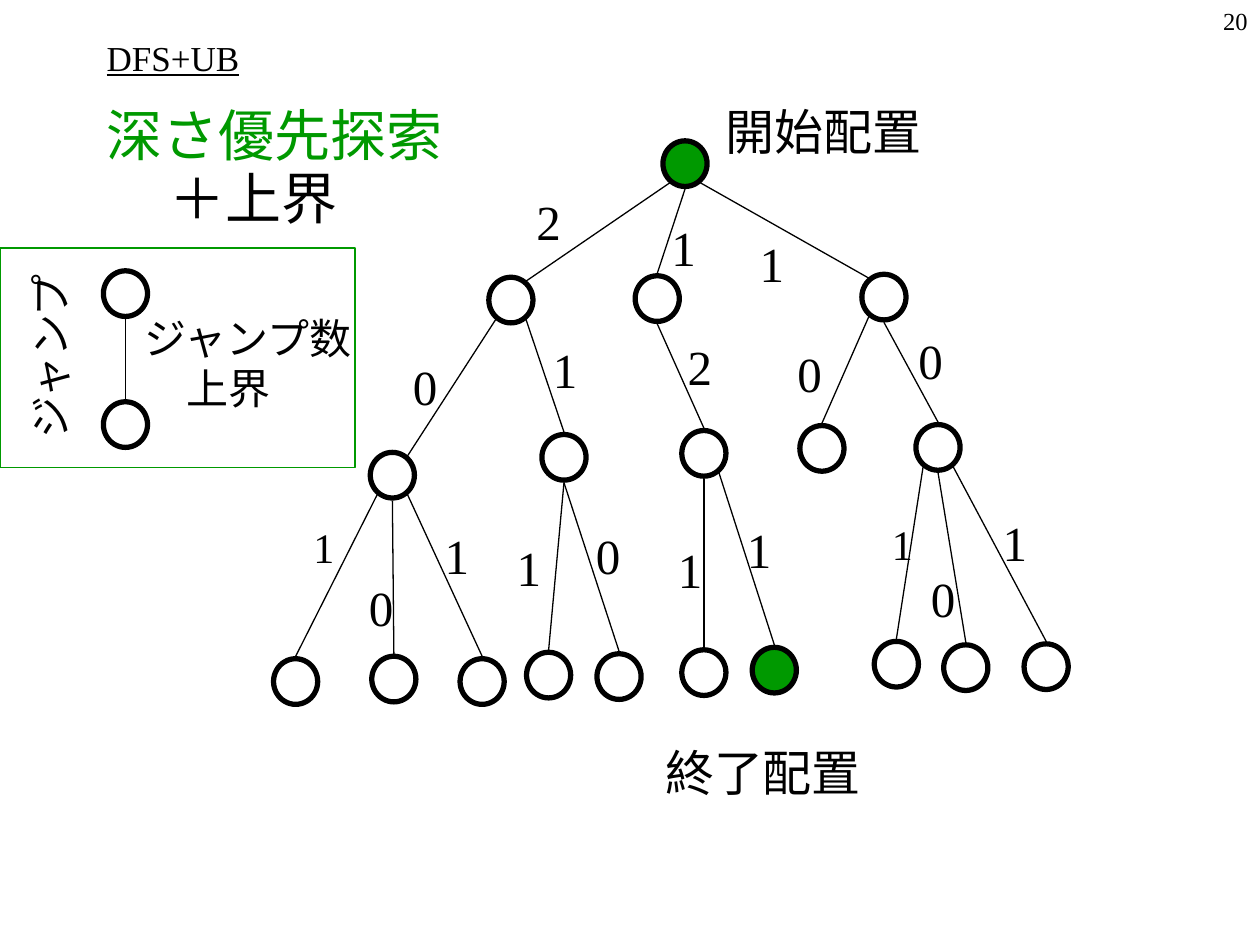
from dataclasses import dataclass

from lxml import etree
from pptx import Presentation
from pptx import util as u
from pptx.dml.color import RGBColor
from pptx.enum import shapes, text
from pptx.oxml import ns


@dataclass(frozen=True)
class Theme:
    font: str = "Times New Roman"
    black: RGBColor = RGBColor(0, 0, 0)
    green: RGBColor = RGBColor(0x00, 0x99, 0x00)
    heading: int = 32
    label: int = 28
    small: int = 24
    title: int = 20
    number: int = 14
    node_line: float = 3
    thin_line: float = 0.75


theme = Theme()
L, C, R = text.PP_ALIGN.LEFT, text.PP_ALIGN.CENTER, text.PP_ALIGN.RIGHT
TOP, MIDDLE = text.MSO_ANCHOR.TOP, text.MSO_ANCHOR.MIDDLE

prs = Presentation()
prs.slide_width, prs.slide_height = u.Cm(25.4), u.Cm(19.05)
s = prs.slides.add_slide(prs.slide_layouts[6])


def add_text(lines, x, y, w, h, size=theme.label, colors=(theme.black,), align=L,
             anchor=MIDDLE, wrap=False, underline=False, indent=0, spacing=None,
             before=0, rotation=0):
    """Add one paragraph per line; indent and before apply after the first."""
    sp = s.shapes.add_textbox(u.Cm(x), u.Cm(y), u.Cm(w), u.Cm(h))
    sp.rotation = rotation
    tf = sp.text_frame
    tf.word_wrap = wrap
    tf.vertical_anchor = anchor
    for i, line in enumerate(lines):
        p = tf.add_paragraph() if i else tf.paragraphs[0]
        p.alignment = align
        if i:
            p.space_before = u.Pt(before)
            p._p.get_or_add_pPr().set("marL", str(u.Cm(indent)))
        if spacing and i == len(lines) - 1:
            p.line_spacing = spacing
        r = p.add_run()
        r.text = line
        r.font.name = theme.font
        r.font.size = u.Pt(size)
        r.font.underline = underline
        r.font.color.rgb = colors[min(i, len(colors) - 1)]


# Title, headings and page number
add_text(["DFS+UB"], 1.9, 0.84, 16.3, 0.64, size=theme.title, wrap=True, underline=True)
add_text(["深さ優先探索", "＋上界"], 1.9, 1.9, 22.66, 15.67, size=theme.heading,
         colors=(theme.green, theme.black), anchor=TOP, wrap=True, indent=1.27,
         spacing=0.7, before=8)
add_text(["20"], 20.12, 0, 5.28, 1.27, size=theme.number, align=R, anchor=TOP, wrap=True)

# Node centres in cm: search tree, then the two nodes of the legend
nodes = {
    "root": (13.81, 3.3),
    "a": (10.3, 6.05), "b": (13.25, 6.02), "c": (17.82, 5.99),
    "a1": (7.91, 9.58), "a2": (11.37, 9.22), "b1": (14.19, 9.14),
    "c1": (16.57, 9.04), "c2": (18.91, 9.02),
    "a11": (5.96, 13.74), "a12": (7.94, 13.69), "a13": (9.72, 13.74),
    "a21": (11.06, 13.61), "a22": (12.48, 13.64),
    "b11": (14.19, 13.56), "b12": (15.61, 13.51),
    "c21": (18.07, 13.39), "c22": (19.47, 13.46), "c23": (21.09, 13.44),
    "legend_top": (2.53, 5.92), "legend_bottom": (2.53, 8.56),
}
NODE_W, NODE_H = 0.89, 0.92
for name, (x, y) in nodes.items():
    sp = s.shapes.add_shape(shapes.MSO_SHAPE.OVAL, u.Cm(x - NODE_W / 2),
                            u.Cm(y - NODE_H / 2), u.Cm(NODE_W), u.Cm(NODE_H))
    sp.shadow.inherit = False
    if name in ("root", "b12"):
        sp.fill.solid()
        sp.fill.fore_color.rgb = theme.green
    else:
        sp.fill.background()
    sp.line.color.rgb = theme.black
    sp.line.width = u.Pt(theme.node_line)

# Edges: parent, side left, child, side entered (-1 left, 0 middle, 1 right),
# then the jump count with its centre and type size
edges = [
    ("root", -1, "a", 1, "2", 11.06, 4.46, theme.label),
    ("root", 0, "b", 0, "1", 13.78, 4.97, theme.label),
    ("root", 1, "c", -1, "1", 15.56, 5.3, theme.label),
    ("a", -1, "a1", 1, "0", 8.57, 7.79, theme.label),
    ("a", 1, "a2", 0, "1", 11.39, 7.43, theme.label),
    ("b", 0, "b1", 0, "2", 14.11, 7.38, theme.label),
    ("c", -1, "c1", 0, "0", 16.32, 7.51, theme.label),
    ("c", 0, "c2", 0, "0", 18.76, 7.25, theme.label),
    ("a1", -1, "a11", 0, "1", 6.53, 11.02, theme.small),
    ("a1", 0, "a12", 0, "0", 7.68, 12.23, theme.label),
    ("a1", 1, "a13", 0, "1", 9.21, 11.19, theme.label),
    ("a2", 0, "a21", 0, "1", 10.66, 11.42, theme.label),
    ("a2", 0, "a22", 0, "0", 12.26, 11.19, theme.label),
    ("b1", 0, "b11", 0, "1", 13.91, 11.47, theme.label),
    ("b1", 1, "b12", 0, "1", 15.3, 11.06, theme.label),
    ("c2", -1, "c21", 0, "1", 18.19, 10.97, theme.small),
    ("c2", 0, "c22", 0, "0", 19.01, 12.05, theme.label),
    ("c2", 1, "c23", 0, "1", 20.46, 10.93, theme.label),
    ("legend_top", 0, "legend_bottom", 0, None, 0, 0, 0),
]
SIDE_X, SIDE_Y, MIDDLE_Y = 0.3, 0.38, 0.51
LABEL_W, LABEL_H = 0.99, 1.45
for parent, out, child, into, label, x, y, size in edges:
    (x1, y1), (x2, y2) = nodes[parent], nodes[child]
    line = s.shapes.add_connector(
        shapes.MSO_CONNECTOR.STRAIGHT,
        u.Cm(x1 + out * SIDE_X), u.Cm(y1 + (SIDE_Y if out else MIDDLE_Y)),
        u.Cm(x2 + into * SIDE_X), u.Cm(y2 - (SIDE_Y if into else MIDDLE_Y)))
    line.line.color.rgb = theme.black
    line.line.width = u.Pt(theme.thin_line)
    etree.SubElement(line._element.spPr, ns.qn("a:effectLst"))
    if label:
        add_text([label], x - LABEL_W / 2, y - LABEL_H / 2, LABEL_W, LABEL_H,
                 size=size, align=C)

# Start and end positions
add_text(["開始配置"], 14.38, 2.24, 4.45, 1.09, spacing=0.7)
add_text(["終了配置"], 13.16, 15.06, 4.45, 1.22, spacing=0.8)

# Legend frame and wording
add_text(["ジャンプ数", "上界"], 2.67, 6.17, 4.72, 2.29, size=theme.small, indent=0.85)
add_text(["ジャンプ"], -0.94, 6.55, 3.89, 1.27, size=theme.small, align=C, rotation=270)
sp = s.shapes.add_shape(shapes.MSO_SHAPE.RECTANGLE, u.Cm(0), u.Cm(5), u.Cm(7.16), u.Cm(4.42))
sp.shadow.inherit = False
sp.fill.background()
sp.line.color.rgb = theme.green
sp.line.width = u.Pt(theme.thin_line)

prs.save("out.pptx")
